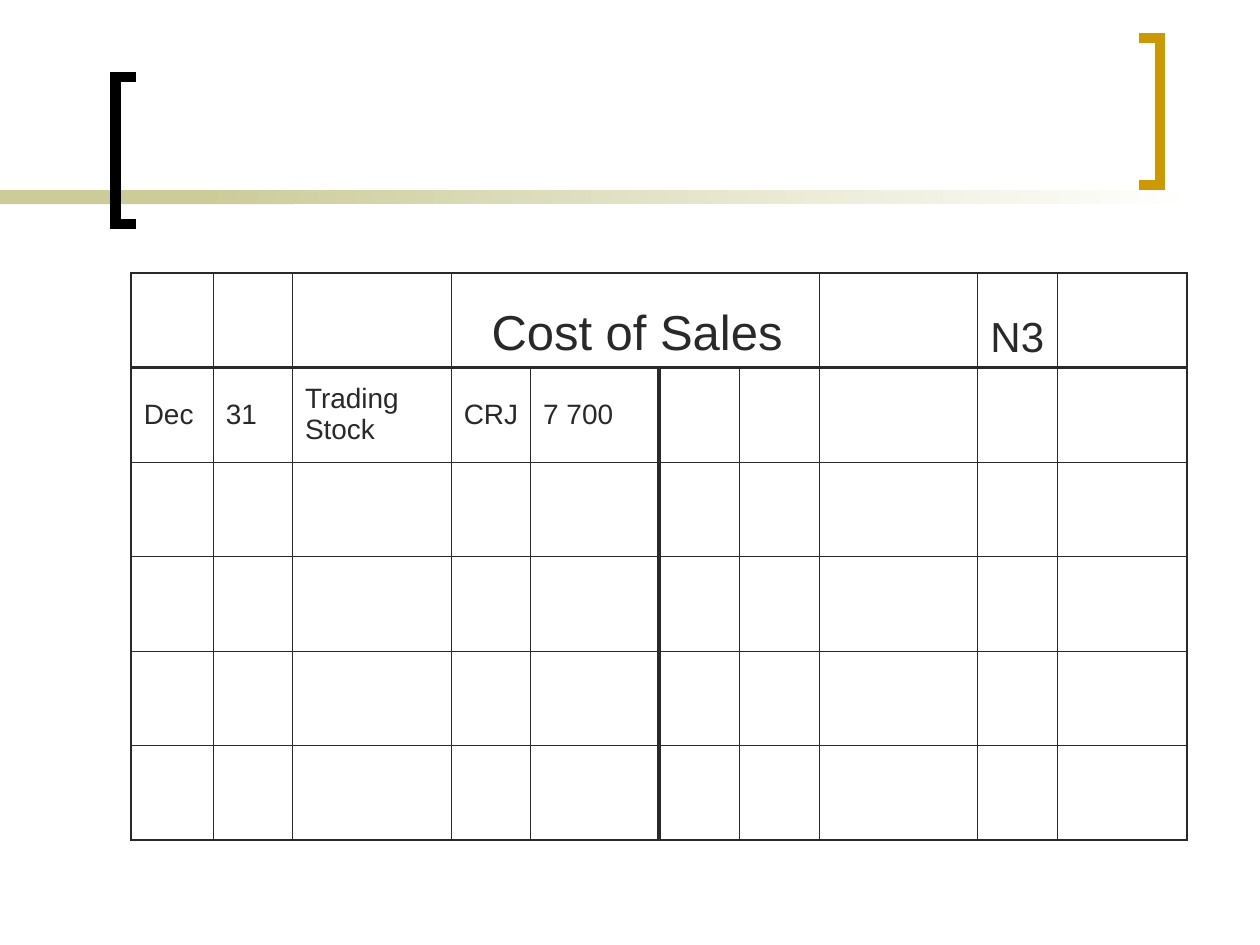
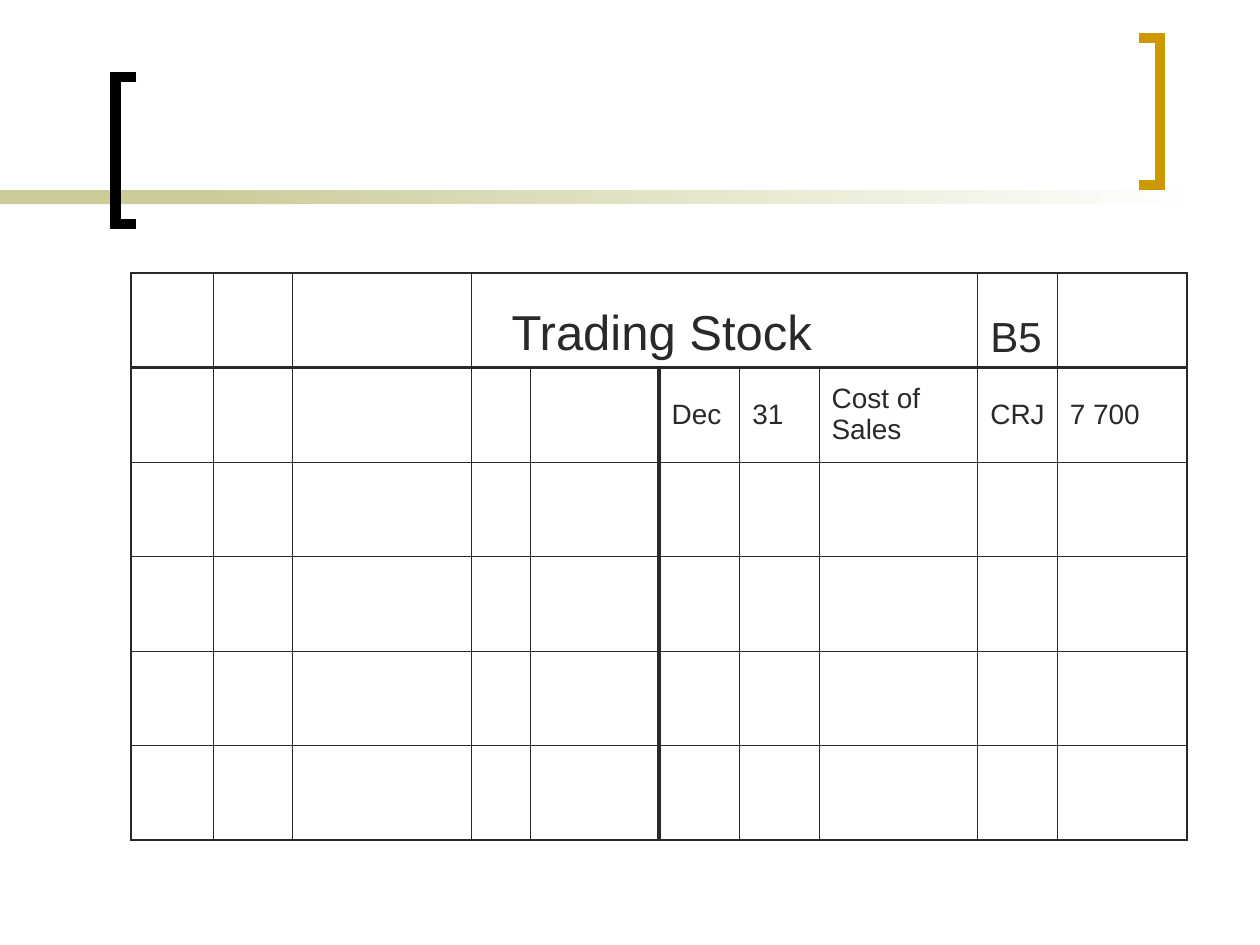
from collections import namedtuple

from lxml.etree import SubElement
from pptx import Presentation
from pptx.dml.color import RGBColor as Rgb
from pptx.enum.shapes import MSO_SHAPE as Shape
from pptx.enum.text import MSO_ANCHOR as Anchor
from pptx.oxml.ns import qn
from pptx.util import Inches, Pt

COLORS = {"ink": "292929", "band": "CCCC99", "paper": "FFFFFF",
          "left bracket": "000000", "right bracket": "CC9900"}
FONT = "Arial"
SLIDE_WIDTH, SLIDE_HEIGHT = Inches(10), Inches(7.5)
GRID_COLUMNS, GRID_ROWS = 120, 90
THIN, FRAME, HEAVY = 0.45, 1.08, 2.21
CENTER = 5  # first column of the credit side

Box = namedtuple("Box", "left top width height")
BAND = Box(0, 18.12, 114, 1.32)
LEFT_BRACKET = Box(11, 7.32, 2, 14)
RIGHT_BRACKET = Box(108.5, 3.6, 2, 14)
LEDGER = Box(12.5, 26, 100.56, 54)

LEDGER_ROWS = 6
DATE, DAY, DETAILS, FOLIO, DEBIT, CREDIT = 7.8, 7.56, 15.12, 7.56, 12.24, 12.36
CREDIT_SIDE = [7.68, DAY, DETAILS, FOLIO, CREDIT]
NARROWING = 1.92  # width moved from folio to details on the second ledger

LEDGERS = [
    {"title": "Cost of Sales", "title_span": 4, "folio": "N3", "entry_column": 0,
     "entry": ["Dec", "31", "Trading Stock", "CRJ", "7 700"],
     "widths": [DATE, DAY, DETAILS, FOLIO, DEBIT] + CREDIT_SIDE},
    {"title": "Trading Stock", "title_span": 5, "folio": "B5", "entry_column": CENTER,
     "entry": ["Dec", "31", "Cost of Sales", "CRJ", "7 700"],
     "widths": [DATE, DAY, DETAILS + NARROWING, FOLIO - NARROWING, DEBIT] + CREDIT_SIDE},
]


def across(columns):
    return round(SLIDE_WIDTH * columns / GRID_COLUMNS)


def down(rows):
    return round(SLIDE_HEIGHT * rows / GRID_ROWS)


def place(box):
    return across(box.left), down(box.top), across(box.width), down(box.height)


def rgb(name):
    return Rgb.from_string(COLORS[name])


def write(cell, text, size=16, anchor=Anchor.MIDDLE, indent=0.1):
    cell.vertical_anchor = anchor
    cell.margin_left, cell.margin_right = Inches(indent), Inches(0.05)
    span = cell.text_frame.paragraphs[0].add_run()
    span.text = text
    span.font.name, span.font.size = FONT, Pt(size)
    span.font.color.rgb = rgb("ink")


def add_bar(page, box):
    bar = page.shapes.add_shape(Shape.RECTANGLE, *place(box))
    bar.shadow.inherit = False
    bar.line.fill.background()
    return bar


def add_band(page, box):
    """Solid strip on the left, fading to the paper colour on the right."""
    solid = add_bar(page, box._replace(width=28))
    solid.fill.solid()
    solid.fill.fore_color.rgb = rgb("band")
    fade_start = 19
    fade = add_bar(page, box._replace(left=box.left + fade_start,
                                      width=box.width - fade_start))
    fade.fill.gradient()
    fade.fill.gradient_angle = 0
    for stop, position, name in zip(fade.fill.gradient_stops, (0, 1), ("band", "paper")):
        stop.position = position
        stop.color.rgb = rgb(name)


def add_bracket(page, box, name, opens_right):
    left, top, width, height = place(box)
    spine, tip = (left, left + width) if opens_right else (left + width, left)
    builder = page.shapes.build_freeform(tip, top)
    builder.add_line_segments(
        [(spine, top), (spine, top + height), (tip, top + height)], close=False)
    bracket = builder.convert_to_shape()
    bracket.shadow.inherit = False
    bracket.fill.background()
    bracket.line.color.rgb = rgb(name)
    bracket.line.width = Pt(6)
    SubElement(bracket.line._get_or_add_ln(), qn("a:miter"), lim="800000")


def add_border(cell, side, width):
    line = SubElement(cell._tc.get_or_add_tcPr(), qn(f"a:ln{side}"), w=str(Pt(width)))
    fill = SubElement(line, qn("a:solidFill"))
    SubElement(fill, qn("a:srgbClr"), val=COLORS["ink"])


def rule_cell(cell, row, column, last_column):
    """Frame outside, heavy rules under the header and down the centre."""
    def vertical(edge):
        if edge in (0, last_column + 1):
            return FRAME
        return HEAVY if edge == CENTER and row > 0 else THIN

    def horizontal(edge):
        return {0: FRAME, 1: HEAVY, LEDGER_ROWS: FRAME}.get(edge, THIN)

    if not cell.is_spanned:
        add_border(cell, "L", vertical(column))
        add_border(cell, "R", vertical(column + 1))
    add_border(cell, "T", horizontal(row))
    add_border(cell, "B", horizontal(row + 1))
    cell.fill.background()


def add_ledger(page, box, ledger):
    widths = ledger["widths"]
    table = page.shapes.add_table(LEDGER_ROWS, len(widths), *place(box)).table
    table.first_row = table.horz_banding = False
    for column, width in zip(table.columns, widths):
        column.width = across(width)
    for row in table.rows:
        row.height = down(box.height / LEDGER_ROWS)

    title_column = 3
    title = table.cell(0, title_column)
    title.merge(table.cell(0, title_column + ledger["title_span"] - 1))
    for row in range(LEDGER_ROWS):
        for column in range(len(widths)):
            rule_cell(table.cell(row, column), row, column, len(widths) - 1)

    write(title, ledger["title"], size=28, anchor=Anchor.BOTTOM, indent=0.32)
    write(table.cell(0, len(widths) - 2), ledger["folio"], size=24, anchor=Anchor.BOTTOM)
    for column, text in enumerate(ledger["entry"], ledger["entry_column"]):
        write(table.cell(1, column), text)


def add_ledger_page(deck, ledger):
    page = deck.slides.add_slide(deck.slide_layouts[6])
    add_band(page, BAND)
    add_bracket(page, LEFT_BRACKET, "left bracket", opens_right=True)
    add_bracket(page, RIGHT_BRACKET, "right bracket", opens_right=False)
    add_ledger(page, LEDGER, ledger)


def main():
    deck = Presentation()
    deck.slide_width, deck.slide_height = SLIDE_WIDTH, SLIDE_HEIGHT
    for ledger in LEDGERS:
        add_ledger_page(deck, ledger)
    deck.save("out.pptx")


if __name__ == "__main__":
    main()
